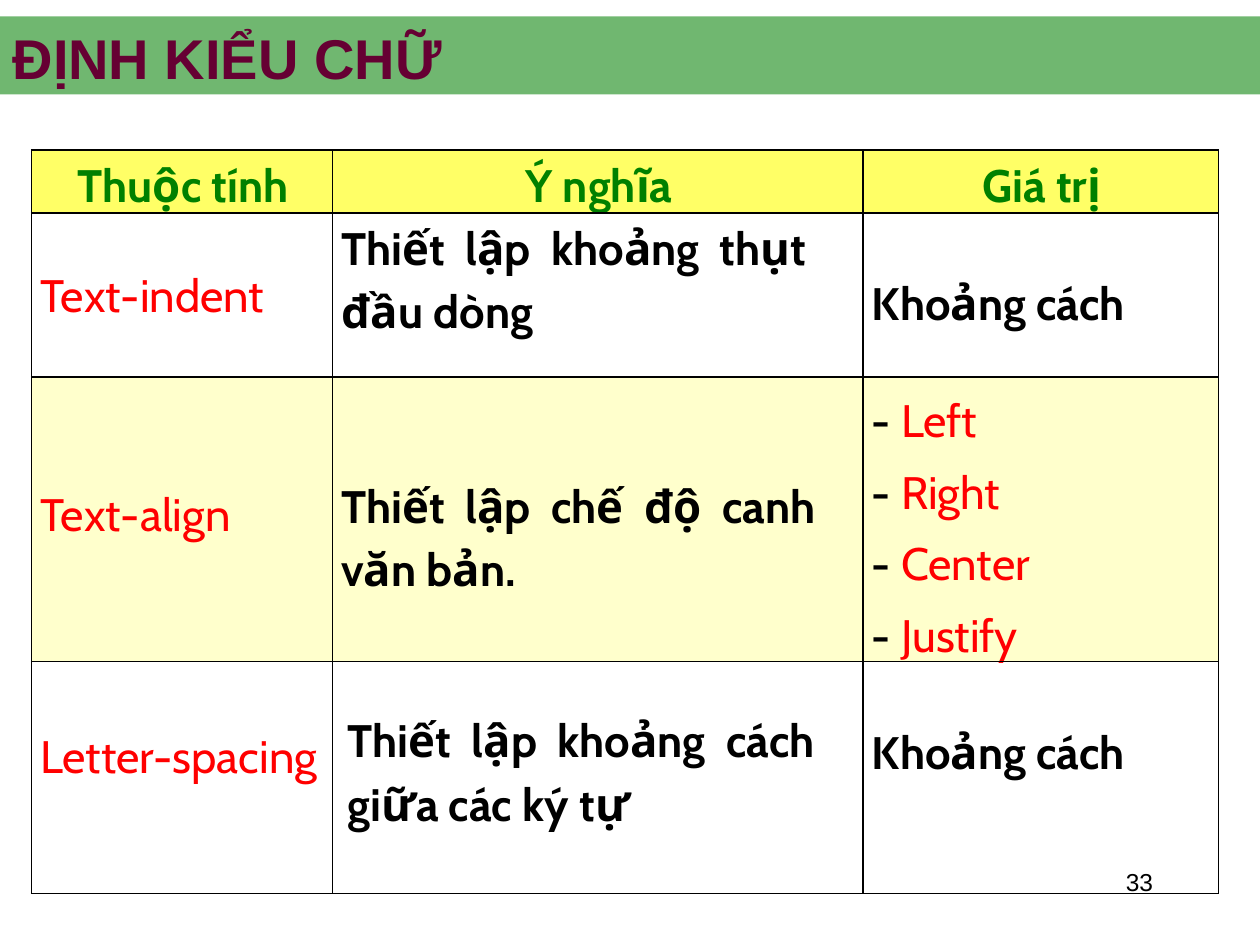
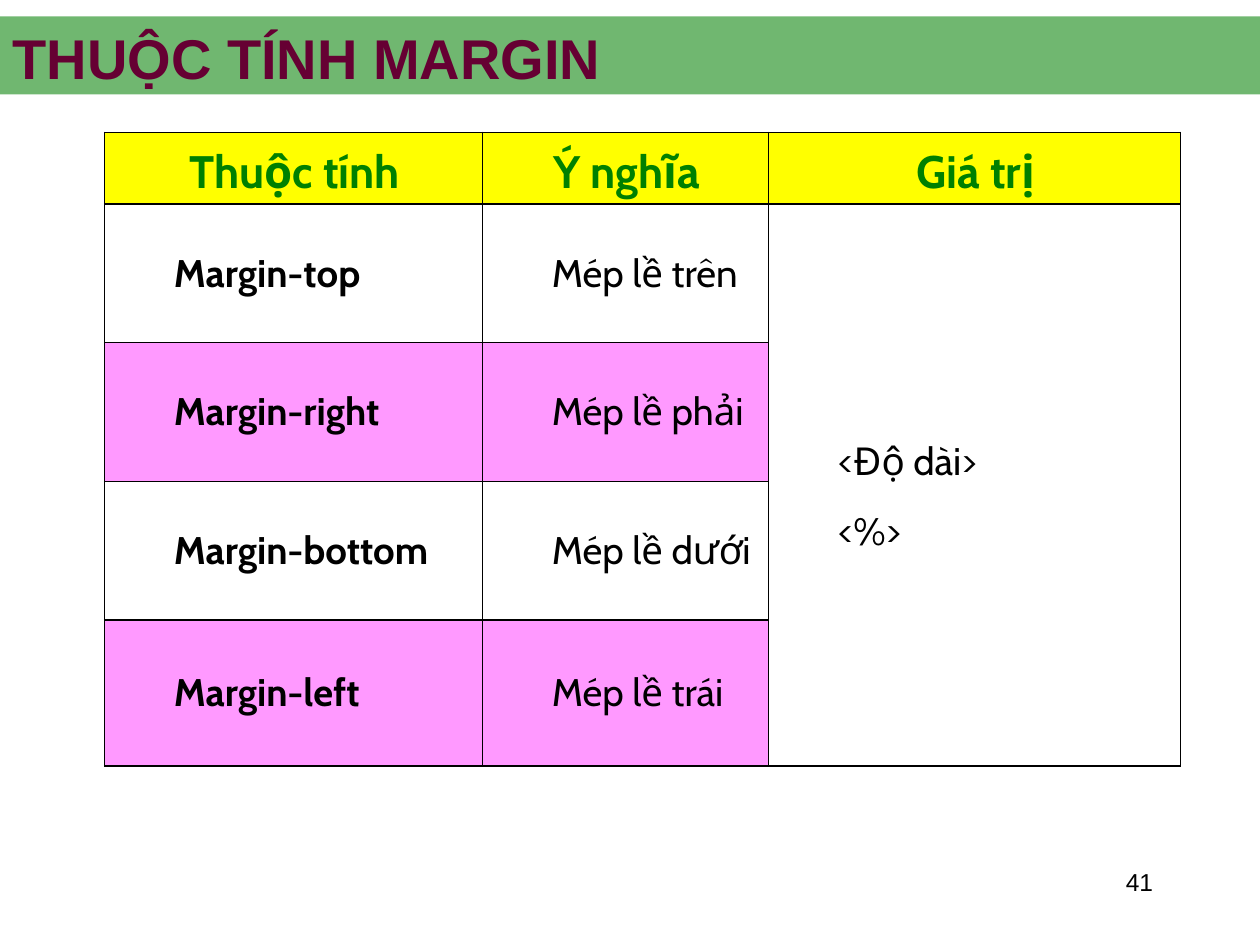
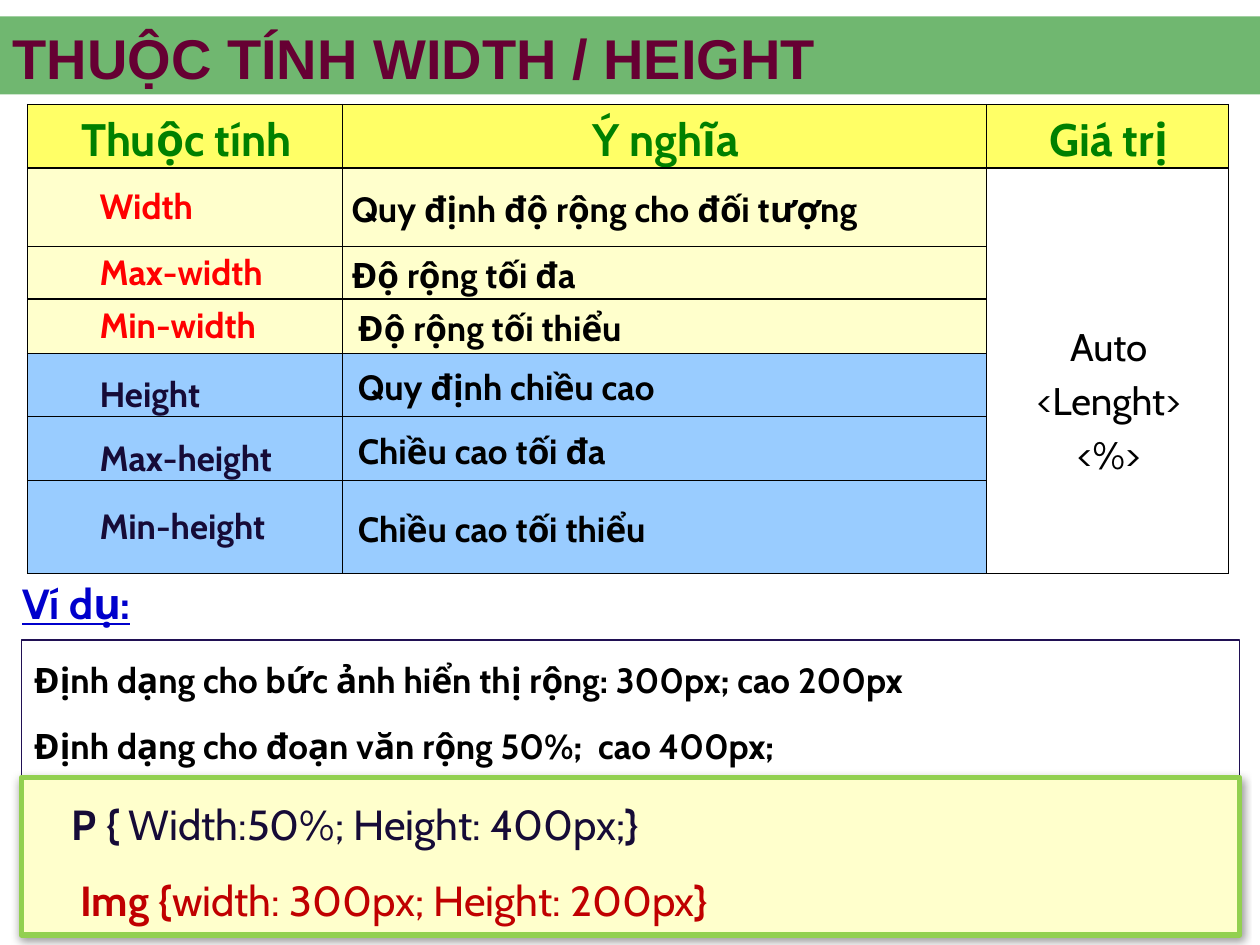
from dataclasses import dataclass
from typing import Optional

from lxml import etree
from pptx import Presentation
from pptx.dml.color import RGBColor
from pptx.enum import shapes, text
from pptx.oxml import ns
from pptx.util import Inches, Pt

# Shared colours and fonts
BLACK = RGBColor(0, 0, 0)
RED = RGBColor(0xFF, 0, 0)
GREEN = RGBColor(0, 0x80, 0)
PLUM = RGBColor(0x66, 0, 0x33)
NAVY = RGBColor(0x16, 0x0B, 0x37)
INDIGO = RGBColor(0x20, 0x10, 0x53)
BLUE = RGBColor(0, 0, 0xCC)
BRICK = RGBColor(0xC0, 0, 0)
LIME = RGBColor(0x92, 0xD0, 0x50)
LEMON = RGBColor(0xFF, 0xFF, 0x66)
YELLOW = RGBColor(0xFF, 0xFF, 0)
CREAM = RGBColor(0xFF, 0xFF, 0xCC)
PINK = RGBColor(0xFF, 0x99, 0xFF)
SKY = RGBColor(0x99, 0xCC, 0xFF)
HEAD, BODY = "Arial", "Cabin"
LABELS = ("Thuộc tính", "Ý nghĩa", "Giá trị")
LEFT, MID = text.PP_ALIGN.LEFT, text.PP_ALIGN.CENTER
TOP, CORE = text.MSO_ANCHOR.TOP, text.MSO_ANCHOR.MIDDLE
BOX = shapes.MSO_SHAPE.RECTANGLE


@dataclass
class Style:
    size: float
    color: RGBColor = BLACK
    bold: bool = False
    font: str = BODY


@dataclass
class Run:
    words: str
    style: Style


@dataclass
class Para:
    runs: list[Run]
    space: float = 1.0
    align: int = LEFT
    before: float = 0
    indent: float = 0


@dataclass
class Cell:
    paras: list[Para]
    fill: Optional[RGBColor] = None
    anchor: int = TOP
    left: float = 0.07
    top: float = 0
    span: int = 1


@dataclass
class Grid:
    left: float
    top: float
    cols: list[float]
    rows: list[float]
    cells: list[list[Cell]]


def line(words: str, style: Style, space: float = 1.0, align: int = LEFT,
         before: float = 0) -> Para:
    return Para([Run(words, style)], space, align, before)


def add_xml(parent, tag: str, **attrs):
    return etree.SubElement(parent, ns.qn(tag), attrs)


def set_font(font, style: Style) -> None:
    font.name, font.size, font.bold = style.font, Pt(style.size), style.bold
    font.color.rgb = style.color


def write(frame, paras: list[Para]) -> None:
    frame.word_wrap = True
    for i, para in enumerate(paras):
        p = frame.add_paragraph() if i else frame.paragraphs[0]
        p.alignment, p.line_spacing = para.align, para.space
        if para.before:
            p.space_before = Pt(para.before)
        if para.indent:
            p._p.get_or_add_pPr().set("marL", str(Inches(para.indent)))
        set_font(p.font, para.runs[0].style)
        for part in para.runs:
            run = p.add_run()
            run.text = part.words
            if part.style != para.runs[0].style:
                set_font(run.font, part.style)


def add_box(slide, area: tuple, fill: Optional[RGBColor] = None,
            edge: Optional[RGBColor] = None, width: float = 0):
    box = slide.shapes.add_shape(BOX, *map(Inches, area))
    box.shadow.inherit = False
    if fill is None:
        box.fill.background()
    else:
        box.fill.solid()
        box.fill.fore_color.rgb = fill
    if edge is None:
        box.line.fill.background()
    else:
        box.line.color.rgb, box.line.width = edge, Pt(width)
    box.text_frame.vertical_anchor = TOP
    return box


def add_note(slide, area: tuple, paras: list[Para]):
    note = slide.shapes.add_textbox(*map(Inches, area))
    write(note.text_frame, paras)
    return note


def add_page(deck, title: str, number: str = ""):
    slide = deck.slides.add_slide(deck.slide_layouts[5])
    # Translucent band, placed behind the title
    band = add_box(slide, (0, 0.13, 10, 0.62), GREEN)
    tint = band._element.spPr.find(".//" + ns.qn("a:srgbClr"))
    add_xml(tint, "a:alpha", val="56000")
    slide.shapes._spTree.insert(2, band._element)
    head = slide.shapes.title
    head.left, head.top, head.width, head.height = map(Inches, (0, 0.24, 10, 0.42))
    frame = head.text_frame
    frame.auto_size, frame.vertical_anchor = text.MSO_AUTO_SIZE.NONE, CORE
    write(frame, [line(title, Style(32, PLUM, True, HEAD))])
    if number:
        add_note(slide, (7.17, 6.83, 2.08, 0.5),
                 [line(number, Style(14, font=HEAD), align=text.PP_ALIGN.RIGHT)])
    return slide


def add_edges(cell) -> None:
    props = cell._tc.get_or_add_tcPr()
    for i, side in enumerate(("a:lnL", "a:lnR", "a:lnT", "a:lnB")):
        edge = add_xml(props, side, w=str(Pt(1)))
        add_xml(add_xml(edge, "a:solidFill"), "a:srgbClr", val=str(BLACK))
        props.insert(i, edge)


def add_grid(slide, grid: Grid) -> None:
    area = (grid.left, grid.top, sum(grid.cols), sum(grid.rows))
    table = slide.shapes.add_table(len(grid.rows), len(grid.cols),
                                   *map(Inches, area)).table
    table.first_row = table.horz_banding = False
    for col, width in zip(table.columns, grid.cols):
        col.width = Inches(width)
    for row, height in zip(table.rows, grid.rows):
        row.height = Inches(height)
    for cell in table.iter_cells():
        cell.fill.background()
        add_edges(cell)
    for r, row in enumerate(grid.cells):
        for c, item in enumerate(row):
            cell = table.cell(r, c)
            if item.span > 1:
                cell.merge(table.cell(r + item.span - 1, c))
            if item.fill is not None:
                cell.fill.solid()
                cell.fill.fore_color.rgb = item.fill
            cell.vertical_anchor = item.anchor
            cell.margin_left, cell.margin_right = Inches(item.left), Inches(0.05)
            cell.margin_top, cell.margin_bottom = Inches(item.top), 0
            write(cell.text_frame, item.paras)


def labels(fill: RGBColor, anchor: int = TOP) -> list[Cell]:
    style = Style(26, GREEN, True)
    return [Cell([line(s, style, 1.15, MID)], fill, anchor) for s in LABELS]


def text_page(deck) -> None:
    slide = add_page(deck, "ĐỊNH KIỂU CHỮ", "33")
    name, bold = Style(26, RED), Style(26, BLACK, True)
    length = Cell([line("Khoảng cách", bold, 1.15)], top=0.44)
    sides = [Para([Run("- ", bold), Run(s, name)], 1.3)
             for s in ("Left", "Right", "Center", "Justify")]
    add_grid(slide, Grid(0.25, 1.19, [2.39, 4.21, 2.82], [0.5, 1.3, 2.26, 1.84], [
        labels(LEMON),
        [Cell([line("Text-indent", name)], top=0.44),
         Cell([line("Thiết  lập  khoảng  thụt  đầu dòng", bold, 1.15)]),
         length],
        [Cell([line("Text-align", name)], CREAM, top=0.88),
         Cell([line("Thiết  lập  chế  độ  canh  văn bản.", bold, 1.15)], CREAM, top=0.75),
         Cell(sides, CREAM)],
        [Cell([line("Letter-spacing", name)], top=0.54),
         Cell([line("Thiết  lập  khoảng  cách  giữa các ký tự", bold, 1.15)],
              left=0.12, top=0.35),
         length],
    ]))


def margin_page(deck) -> None:
    slide = add_page(deck, "THUỘC TÍNH MARGIN", "41")
    plain, bold = Style(22), Style(22, BLACK, True)
    sides = [("top", "trên"), ("right", "phải"), ("bottom", "dưới"), ("left", "trái")]
    rows = [labels(YELLOW, CORE)]
    for i, (side, sense) in enumerate(sides):
        fill = PINK if i % 2 else None
        rows.append([Cell([line(f"Margin-{side}", bold)], fill, CORE, 0.55),
                     Cell([line(f"Mép lề {sense}", plain)], fill, CORE, 0.55)])
    values = [line(s, plain, 1.5) for s in ("<Độ dài>", "<%>")]
    rows[1].append(Cell(values, None, CORE, 0.55, span=len(sides)))
    add_grid(slide, Grid(0.83, 1.05, [3, 2.27, 3.27], [0.57, 1.1, 1.1, 1.1, 1.16], rows))


def size_page(deck) -> None:
    slide = add_page(deck, "THUỘC TÍNH WIDTH / HEIGHT")
    bold = Style(20, BLACK, True)
    # Name, meaning, left margin of the meaning, top margin of the name
    items = [
        ("Width", "Quy định độ rộng cho đối tượng", 0.07, 0),
        ("Max-width", "Độ rộng tối đa", 0.07, 0),
        ("Min-width", "Độ rộng tối thiểu", 0.12, 0),
        ("Height", "Quy định chiều cao", 0.12, 0.16),
        ("Max-height", "Chiều cao tối đa", 0.12, 0.16),
        ("Min-height", "Chiều cao tối thiểu", 0.12, 0),
    ]
    rows = [labels(LEMON)]
    for i, (name, sense, left, top) in enumerate(items):
        fill, color = (CREAM, RED) if i < 3 else (SKY, NAVY)
        rows.append([Cell([line(name, Style(20, color, True))], fill, CORE, 0.57, top),
                     Cell([line(sense, bold, 1.15)], fill, CORE, left)])
    values = [line(s, Style(22), 1.15, MID) for s in ("Auto", "<Lenght>", "<%>")]
    rows[1].append(Cell(values, None, CORE, top=0.43, span=len(items)))
    add_grid(slide, Grid(0.22, 0.83, [2.5, 5.11, 1.92],
                         [0.5, 0.62, 0.42, 0.43, 0.5, 0.51, 0.74], rows))

    # Task
    task = add_box(slide, (0.17, 5.08, 9.67, 1.08), edge=INDIGO, width=0.75)
    write(task.text_frame, [
        line("Định dạng cho bức ảnh hiển thị rộng: 300px; cao 200px", bold, 1.3),
        line("Định dạng cho đoạn văn rộng 50%;  cao 400px;", bold, 1.3, before=6),
    ])

    # Code with a soft shadow
    code = add_box(slide, (0.17, 6.17, 9.67, 1.25), CREAM, LIME, 3)
    glow = add_xml(code._element.spPr.find(ns.qn("a:effectLst")), "a:outerShdw",
                   blurRad=str(Pt(5)), dist=str(Pt(1.6)), dir="5400000", rotWithShape="0")
    add_xml(add_xml(glow, "a:srgbClr", val=str(BLACK)), "a:alpha", val="38000")
    rules = [("P { ", "Width:50%; Height: 400px;", NAVY, 0, 0.3),
             ("Img {", "width: 300px; Height: 200px", BRICK, 6, 0.37)]
    paras = []
    for start, rule, color, before, indent in rules:
        strong = Style(24, color, True)
        runs = [Run(start, strong), Run(rule, Style(24, color)), Run("}", strong)]
        paras.append(Para(runs, 1.3, before=before, indent=indent))
    write(code.text_frame, paras)

    # Example heading
    note = add_note(slide, (0.08, 4.58, 9.83, 0.67),
                    [line("Ví dụ:", Style(24, BLUE, True), 0.9)])
    note.text_frame.paragraphs[0].font.underline = True


def main() -> None:
    deck = Presentation()
    deck.slide_width, deck.slide_height = Inches(10), Inches(7.5)
    for page in (text_page, margin_page, size_page):
        page(deck)
    deck.save("out.pptx")


if __name__ == "__main__":
    main()
